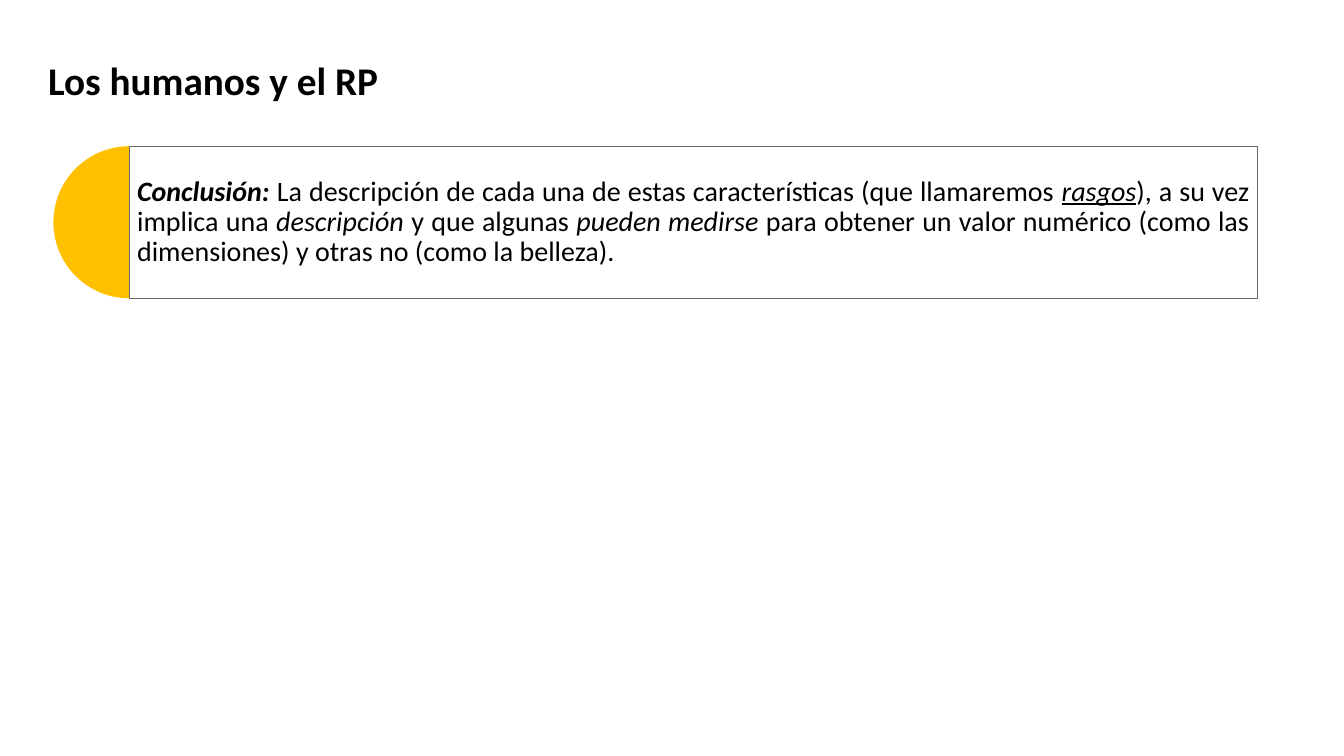
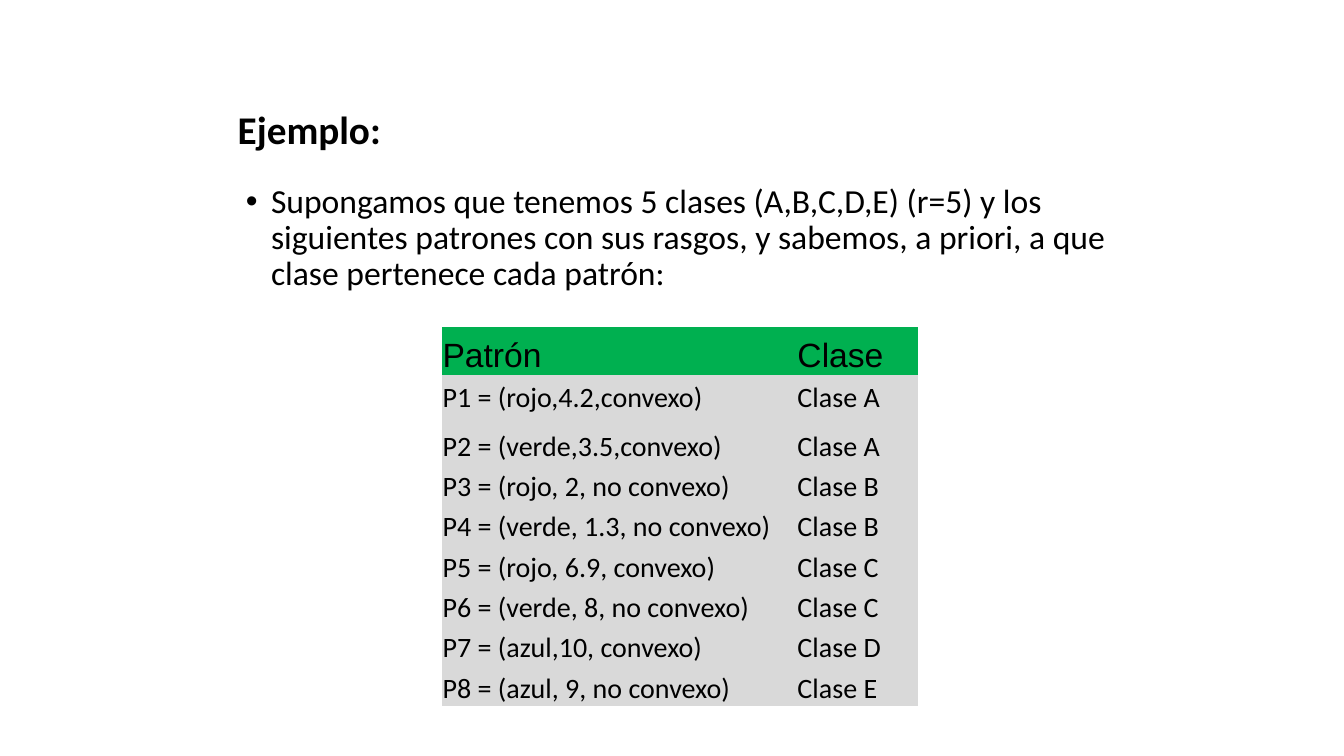
"""Build two slides on pattern recognition: a conclusion and a table of classified patterns."""
from lxml import etree
from pptx import Presentation
from pptx.dml.color import RGBColor
from pptx.enum.shapes import MSO_SHAPE as Shape
from pptx.enum.text import MSO_ANCHOR as Anchor, PP_ALIGN as Align
from pptx.oxml.ns import qn
from pptx.util import Inches, Pt

COLORS = {"text": "000000", "accent": "FFC000", "panel": "FFFFFF", "border": "666666",
          "header": "00B050", "row": "D9D9D9"}


def style(font, size, name="Calibri", bold=False):
    font.name, font.size, font.bold = name, Pt(size), bold
    font.color.rgb = RGBColor.from_string(COLORS["text"])


def add_text(slide, text, left, top, width, height, size, bold=False, anchor=Anchor.TOP):
    frame = slide.shapes.add_textbox(Inches(left), Inches(top), Inches(width), Inches(height)).text_frame
    frame.word_wrap = True
    frame.vertical_anchor = anchor
    frame.text = text
    paragraph = frame.paragraphs[0]
    paragraph.line_spacing = 0.9
    style(paragraph.runs[0].font, size, bold=bold)
    return paragraph


prs = Presentation()
prs.slide_width, prs.slide_height = Inches(13.33), Inches(7.5)
blank = prs.slide_layouts[6]

conclusion_slide = prs.slides.add_slide(blank)
add_text(conclusion_slide, "Los humanos y el RP", 0.38, 0.2, 9, 1.25, 28, True, Anchor.MIDDLE)

half_disc = conclusion_slide.shapes.add_shape(
    Shape.PIE, Inches(0.53), Inches(1.45), Inches(1.51), Inches(1.51))
half_disc.adjustments[0], half_disc.adjustments[1] = 54, 162
half_disc.shadow.inherit = False
half_disc.fill.solid()
half_disc.fill.fore_color.rgb = RGBColor.from_string(COLORS["accent"])
half_disc.line.fill.background()

panel = conclusion_slide.shapes.add_shape(
    Shape.RECTANGLE, Inches(1.28), Inches(1.45), Inches(11.19), Inches(1.51))
panel.shadow.inherit = False
panel.fill.solid()
panel.fill.fore_color.rgb = RGBColor.from_string(COLORS["panel"])
panel_color = panel.fill._xPr.find(qn("a:solidFill"))[0]
etree.SubElement(panel_color, qn("a:alpha")).set("val", "90000")
panel.line.color.rgb = RGBColor.from_string(COLORS["border"])
panel.line.width = Pt(0.5)

conclusion = panel.text_frame
conclusion.word_wrap = True
conclusion.vertical_anchor = Anchor.MIDDLE
conclusion.margin_left = conclusion.margin_right = Inches(0.08)
conclusion.margin_top = conclusion.margin_bottom = Inches(0.08)
sentence = conclusion.paragraphs[0]
sentence.alignment = Align.JUSTIFY
sentence.line_spacing = 0.9
for text, marks in [
    ("Conclusión: ", "bi"),
    ("La descripción de cada una de estas características (que llamaremos ", ""),
    ("rasgos", "iu"),
    ("), a su vez implica una ", ""),
    ("descripción", "i"),
    (" y que algunas ", ""),
    ("pueden medirse ", "i"),
    ("para obtener un valor numérico (como las dimensiones) y otras no (como la belleza).", ""),
]:
    run = sentence.add_run()
    run.text = text
    style(run.font, 20, bold="b" in marks)
    run.font.italic = "i" in marks
    run.font.underline = "u" in marks

example_slide = prs.slides.add_slide(blank)
add_text(example_slide, "Ejemplo:", 2.26, 0.99, 8.5, 0.64, 28, True, Anchor.MIDDLE)
premise = add_text(
    example_slide,
    "Supongamos que tenemos 5 clases (A,B,C,D,E) (r=5) y los siguientes patrones con sus rasgos, "
    "y sabemos, a priori, a que clase pertenece cada patrón:",
    2.34, 1.78, 8.74, 1.57, 24)
premise_format = premise._p.get_or_add_pPr()
premise_format.set("marL", str(Inches(0.25)))
premise_format.set("indent", str(-Inches(0.25)))
etree.SubElement(premise_format, qn("a:buFont")).set("typeface", "Arial")
etree.SubElement(premise_format, qn("a:buChar")).set("char", "•")

patterns = [
    ("Patrón", "Clase"),
    ("P1 = (rojo,4.2,convexo)", "Clase A"),
    ("P2 = (verde,3.5,convexo)", "Clase A"),
    ("P3 = (rojo, 2, no convexo)", "Clase B"),
    ("P4 = (verde, 1.3, no convexo)", "Clase B"),
    ("P5 = (rojo, 6.9, convexo)", "Clase C"),
    ("P6 = (verde, 8, no convexo)", "Clase C"),
    ("P7 = (azul,10, convexo)", "Clase D"),
    ("P8 = (azul, 9, no convexo)", "Clase E"),
]
table = example_slide.shapes.add_table(
    len(patterns), 2, Inches(4.38), Inches(3.24), Inches(4.73), Inches(3.74)).table
table.columns[0].width, table.columns[1].width = Inches(3.52), Inches(1.21)
table.first_row = table.horz_banding = False
table_style = table._tbl.tblPr.find(qn("a:tableStyleId"))
table_style.text = "{2D5ABB26-0587-4C30-8999-92F81FD0307C}"
for row, values in enumerate(patterns):
    table.rows[row].height = Inches(0.48 if row in (0, 2) else 0.4)
    for column, value in enumerate(values):
        cell = table.cell(row, column)
        cell.text = value
        cell.vertical_anchor = Anchor.BOTTOM
        cell.margin_left = cell.margin_right = cell.margin_top = Inches(0.01)
        cell.margin_bottom = 0
        cell.fill.solid()
        cell.fill.fore_color.rgb = RGBColor.from_string(COLORS["row" if row else "header"])
        font = cell.text_frame.paragraphs[0].runs[0].font
        style(font, 20 if row else 24, "Calibri" if row else "Arial")

prs.save("out.pptx")
